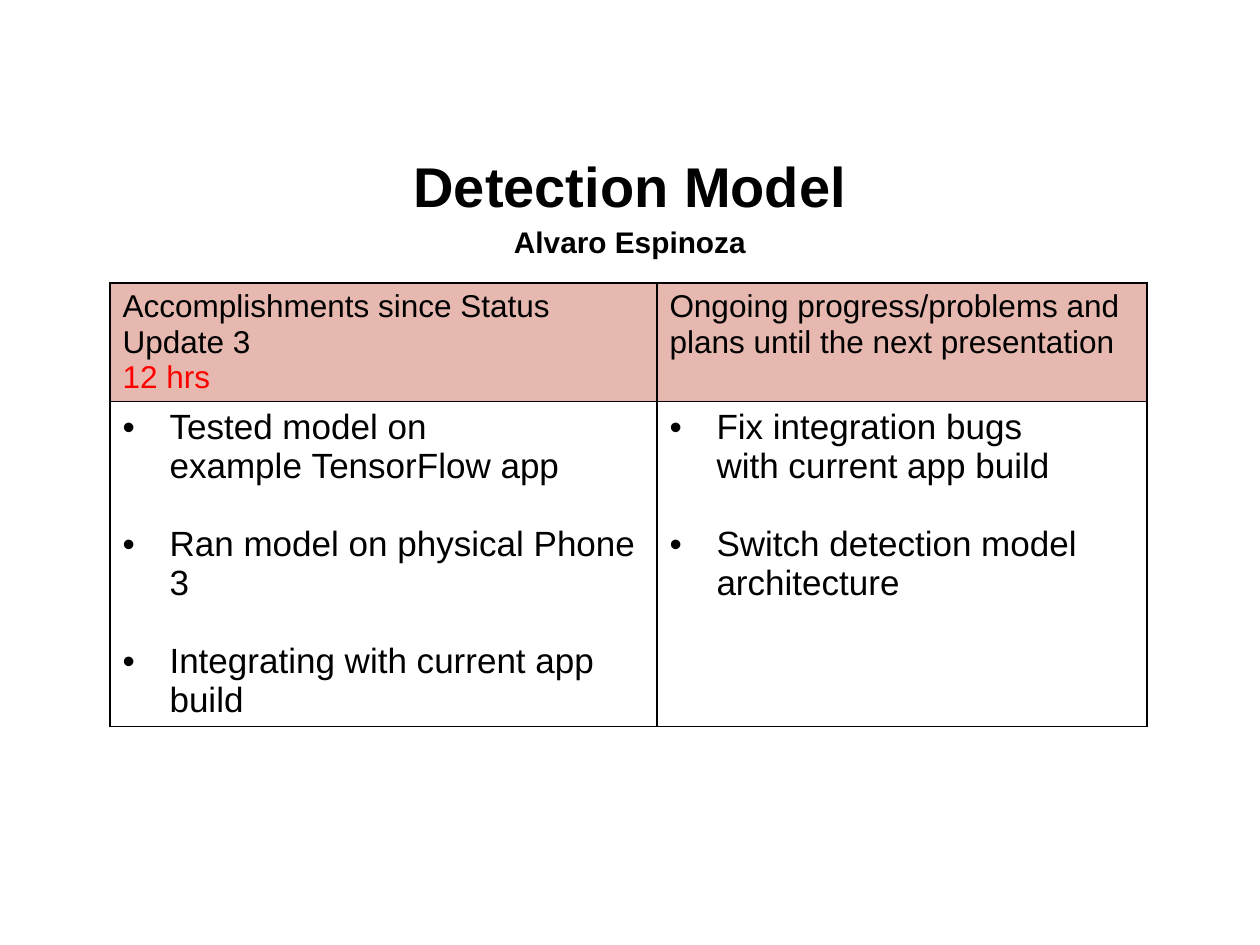
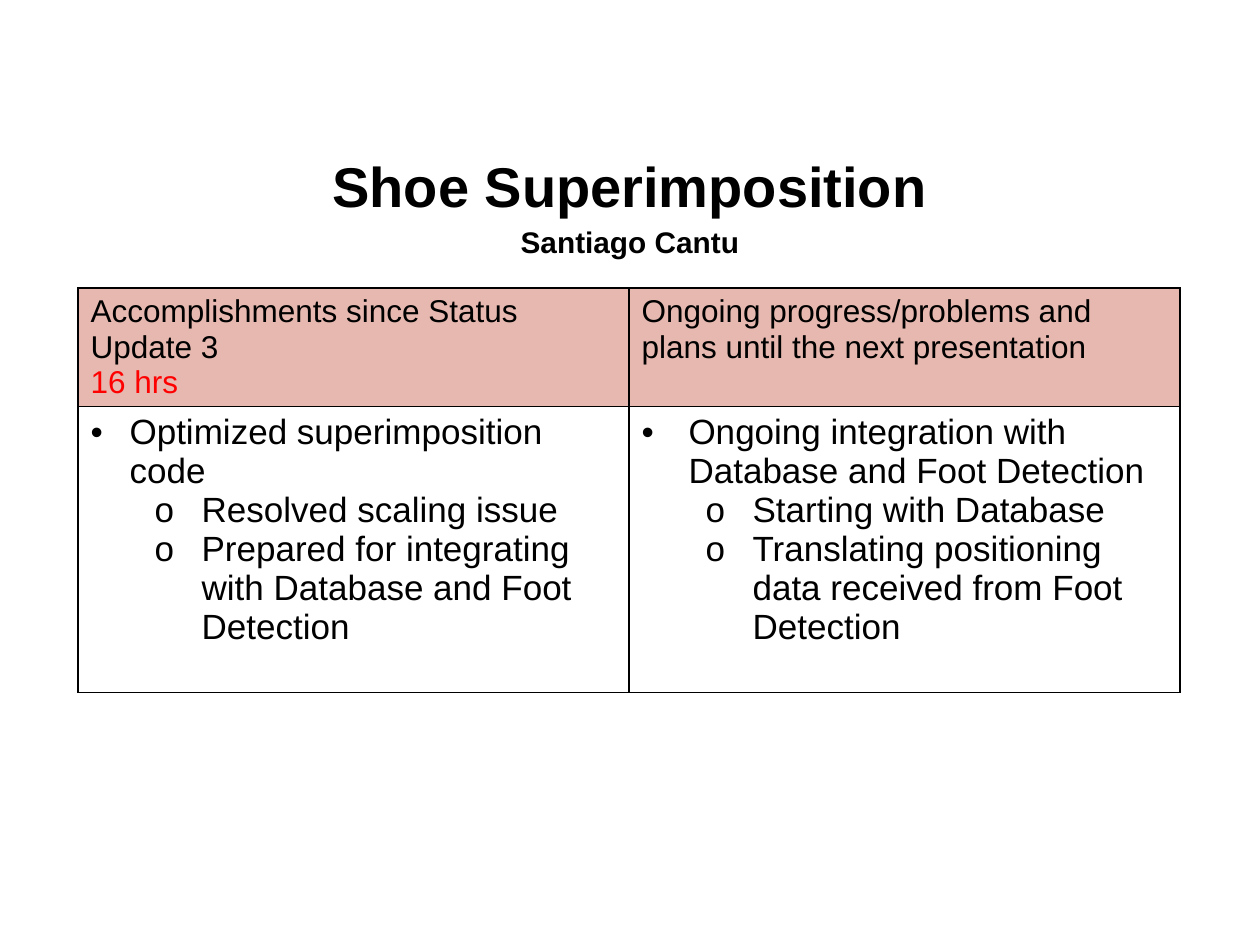
from dataclasses import dataclass

from lxml.etree import SubElement
from pptx import Presentation
from pptx.dml.color import RGBColor
from pptx.enum.text import MSO_ANCHOR, MSO_AUTO_SIZE, PP_ALIGN
from pptx.oxml.ns import qn
from pptx.util import Emu, Pt

PX_PER_INCH = 126
NBSP = chr(160)


def px(length):
    return Emu(round(length * 914400 / PX_PER_INCH))


@dataclass(frozen=True)
class Theme:
    font: str = "Arial"
    ink: str = "000000"
    hours: str = "FF0000"
    header_fill: str = "E6B8AF"
    title_size: int = 32
    author_size: int = 17
    header_size: int = 18
    body_size: int = 20
    border_width: int = 1


@dataclass(frozen=True)
class Bullet:
    text: str
    level: int = 0
    left: int = 47
    hanging: int = 47
    before: int = 0


def sub_bullet(text):
    return Bullet(text, level=1, left=111)


def write(paragraph, text, *, font, size, color, bold=False, align=None, spacing=None):
    run = paragraph.add_run()
    run.text = text
    run.font.name = font
    run.font.size = Pt(size)
    run.font.bold = bold
    run.font.color.rgb = RGBColor.from_string(color)
    if align is not None:
        paragraph.alignment = align
    if spacing is not None:
        paragraph.line_spacing = spacing


class StatusDeck:
    """Holds the theme, the presentation and the slide being filled."""

    def __init__(self, theme):
        self.theme = theme
        self.presentation = Presentation()
        self.presentation.slide_width = px(1260)
        self.presentation.slide_height = px(945)
        self.slide = None

    def new_slide(self):
        title_only = self.presentation.slide_layouts[5]
        self.slide = self.presentation.slides.add_slide(title_only)

    def heading(self, topic, author):
        title = self.slide.shapes.title
        title.left, title.top = px(63), px(145)
        title.width, title.height = px(1134), px(111)
        frame = title.text_frame
        frame.auto_size = MSO_AUTO_SIZE.NONE
        frame.vertical_anchor = MSO_ANCHOR.MIDDLE
        lines = ((frame.paragraphs[0], topic, self.theme.title_size),
                 (frame.add_paragraph(), author, self.theme.author_size))
        for paragraph, text, size in lines:
            write(paragraph, text, font=self.theme.font, size=size, color=self.theme.ink,
                  bold=True, align=PP_ALIGN.CENTER, spacing=1.15)

    def status_table(self, left, top, widths, heights, hours, done, plans):
        grid = self.slide.shapes.add_table(
            2, 2, px(left), px(top), px(sum(widths)), px(sum(heights))).table
        grid.first_row = grid.horz_banding = False
        for column, width in zip(grid.columns, widths):
            column.width = px(width)
        for row, height in zip(grid.rows, heights):
            row.height = px(height)
        for cell in grid.iter_cells():
            self.borders(cell)

        done_header, plans_header = grid.cell(0, 0), grid.cell(0, 1)
        self.header(done_header, "Accomplishments since Status Update 3")
        write(done_header.text_frame.add_paragraph(), hours, font=self.theme.font,
              size=self.theme.header_size, color=self.theme.hours)
        self.header(plans_header,
                    "Ongoing progress/problems and plans until the next presentation")
        self.bullets(grid.cell(1, 0), done)
        self.bullets(grid.cell(1, 1), plans)

    def borders(self, cell):
        properties = cell._tc.get_or_add_tcPr()
        for side in ("a:lnL", "a:lnR", "a:lnT", "a:lnB"):
            line = SubElement(properties, qn(side), w=str(Pt(self.theme.border_width)))
            fill = SubElement(line, qn("a:solidFill"))
            SubElement(fill, qn("a:srgbClr"), val=self.theme.ink)

    def header(self, cell, text):
        cell.fill.solid()
        cell.fill.fore_color.rgb = RGBColor.from_string(self.theme.header_fill)
        write(cell.text_frame.paragraphs[0], text, font=self.theme.font,
              size=self.theme.header_size, color=self.theme.ink)

    def bullets(self, cell, items):
        cell.fill.background()
        frame = cell.text_frame
        for index, item in enumerate(items):
            paragraph = frame.add_paragraph() if index else frame.paragraphs[0]
            properties = paragraph._p.get_or_add_pPr()
            properties.set("marL", str(px(item.left)))
            properties.set("indent", str(-px(item.hanging)))
            SubElement(properties, qn("a:buFont"), typeface=self.theme.font)
            SubElement(properties, qn("a:buChar"), char="•o"[item.level])
            paragraph.level = item.level
            if item.before:
                paragraph.space_before = px(item.before)
            write(paragraph, item.text, font=self.theme.font,
                  size=self.theme.body_size, color=self.theme.ink)

    def save(self):
        self.presentation.save("out.pptx")


def main():
    deck = StatusDeck(Theme())
    blank_line = 39
    header_height = 118

    deck.new_slide()
    deck.heading("Detection Model", "Alvaro Espinoza")
    deck.status_table(
        110, 283, widths=(547, 490), heights=(header_height, 325), hours="12 hrs",
        done=(Bullet(f"Tested model on example{NBSP}TensorFlow app"),
              Bullet("Ran model on physical Phone 3", before=blank_line),
              Bullet("Integrating with current app build", before=blank_line)),
        plans=(Bullet(f"Fix integration bugs with{NBSP}current app build"),
               Bullet("Switch detection model architecture", before=blank_line)))

    deck.new_slide()
    deck.heading("Shoe Superimposition", "Santiago Cantu")
    deck.status_table(
        78, 288, widths=(551, 551), heights=(header_height, 286), hours="16 hrs",
        done=(Bullet("Optimized superimposition code", left=39, hanging=39),
              sub_bullet("Resolved scaling issue"),
              sub_bullet("Prepared for integrating with Database and Foot Detection")),
        plans=(Bullet("Ongoing integration with Database and Foot Detection"),
               sub_bullet("Starting with Database"),
               sub_bullet("Translating positioning data received from Foot Detection")))

    deck.save()


if __name__ == "__main__":
    main()
